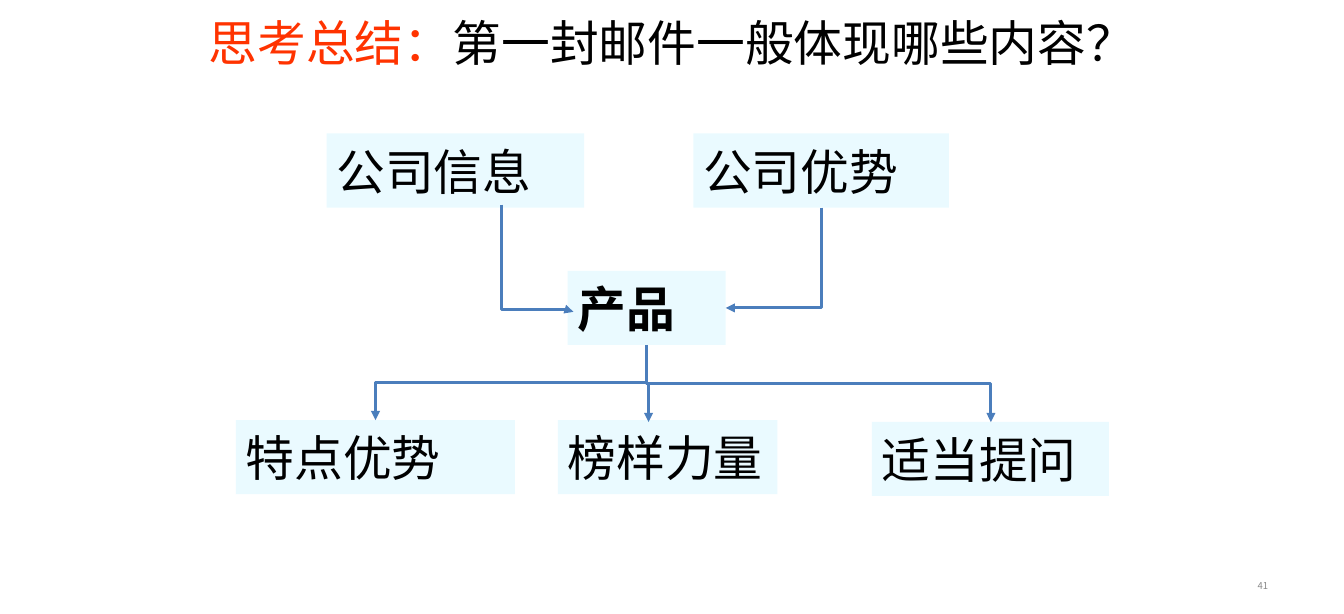
import pptx
import pptx.util
import pptx.dml.color
import pptx.enum.shapes
import pptx.enum.text
import pptx.oxml.ns
import lxml.etree

Inches = pptx.util.Inches
ALIGN = pptx.enum.text.PP_ALIGN
qn = pptx.oxml.ns.qn
FONT = "Noto Sans CJK SC"


def color(value):
    return pptx.dml.color.RGBColor.from_string(value)


def write(shape, runs, size, alignment, bold=False):
    frame = shape.text_frame
    frame.word_wrap = True
    frame.vertical_anchor = pptx.enum.text.MSO_ANCHOR.MIDDLE
    paragraph = frame.paragraphs[0]
    paragraph.alignment = alignment
    for text, value in runs:
        run = paragraph.add_run()
        run.text = text
        run.font.size = pptx.util.Pt(size)
        run.font.bold = bold
        run.font.name = FONT
        run.font.color.rgb = color(value)
        east_asian = lxml.etree.SubElement(run.font._element, qn("a:ea"))
        east_asian.set("typeface", FONT)
    return paragraph


presentation = pptx.Presentation()
presentation.slide_width = Inches(13.78)
presentation.slide_height = Inches(6.3)
slide = presentation.slides.add_slide(presentation.slide_layouts[6])

# Page number
number = slide.shapes.add_textbox(Inches(9.88), Inches(5.84), Inches(3.22), Inches(0.34))
write(number, [("41", "898989")], 7, ALIGN.RIGHT)

# Title with a hanging indent
title = slide.shapes.add_textbox(Inches(0.76), Inches(-0.04), Inches(12.26), Inches(0.95))
title_runs = [("思考总结：", "FF3300"), ("第一封邮件一般体现哪些内容？", "000000")]
properties = write(title, title_runs, 36, ALIGN.CENTER)._p.get_or_add_pPr()
properties.set("marL", str(Inches(1.12)))
properties.set("indent", str(Inches(-1.12)))

# Topic boxes: text, left, top, width, bold
topics = [
    ("公司信息", 3.35, 1.37, 2.64, False),
    ("公司优势", 7.11, 1.37, 2.62, False),
    ("产品", 5.82, 2.78, 1.62, True),
    ("特点优势", 2.42, 4.31, 2.86, False),
    ("榜样力量", 5.72, 4.31, 2.25, False),
    ("适当提问", 8.94, 4.33, 2.43, False),
]
for text, left, top, width, bold in topics:
    box = slide.shapes.add_shape(
        pptx.enum.shapes.MSO_SHAPE.RECTANGLE,
        Inches(left), Inches(top), Inches(width), Inches(0.76))
    box.shadow.inherit = False
    box.fill.solid()
    box.fill.fore_color.rgb = color("98EAFF")
    fill_color = box._element.spPr.find(qn("a:solidFill"))[0]
    lxml.etree.SubElement(fill_color, qn("a:alpha")).set("val", "20000")
    box.line.fill.background()
    write(box, [(text, "000000")], 36, ALIGN.LEFT, bold)

# Elbow arrows: start, end, share of the drop before the turn (None: one corner)
arrows = [
    ((8.42, 2.13), (7.44, 3.16), None),
    ((5.14, 2.10), (5.88, 3.20), 0.98),
    ((6.63, 3.54), (3.85, 4.31), 0.5),
    ((6.63, 3.54), (6.65, 4.33), 0.5),
    ((6.63, 3.54), (10.16, 4.33), 0.5),
]
for (start_x, start_y), (end_x, end_y), turn in arrows:
    # The frame lies on its side and is turned a quarter around its centre
    center_x, center_y = (start_x + end_x) / 2, (start_y + end_y) / 2
    half_width, half_height = (end_y - start_y) / 2, abs(end_x - start_x) / 2
    arrow = slide.shapes.add_connector(
        pptx.enum.shapes.MSO_CONNECTOR.ELBOW,
        Inches(center_x - half_width), Inches(center_y - half_height),
        Inches(center_x + half_width), Inches(center_y + half_height))
    shape_properties = arrow._element.spPr
    frame = shape_properties.find(qn("a:xfrm"))
    frame.set("rot", str(90 * 60000))
    if end_x > start_x:
        frame.set("flipV", "1")
    geometry = shape_properties.find(qn("a:prstGeom"))
    if turn is None:
        geometry.set("prst", "bentConnector2")
    else:
        guide = lxml.etree.SubElement(geometry.find(qn("a:avLst")), qn("a:gd"))
        guide.set("name", "adj1")
        guide.set("fmla", f"val {round(turn * 100000)}")
    arrow.line.color.rgb = color("4B7EBC")
    arrow.line.width = pptx.util.Pt(2.25)
    line = shape_properties.find(qn("a:ln"))
    lxml.etree.SubElement(line, qn("a:tailEnd")).set("type", "triangle")
    lxml.etree.SubElement(shape_properties, qn("a:effectLst"))

presentation.save("out.pptx")
